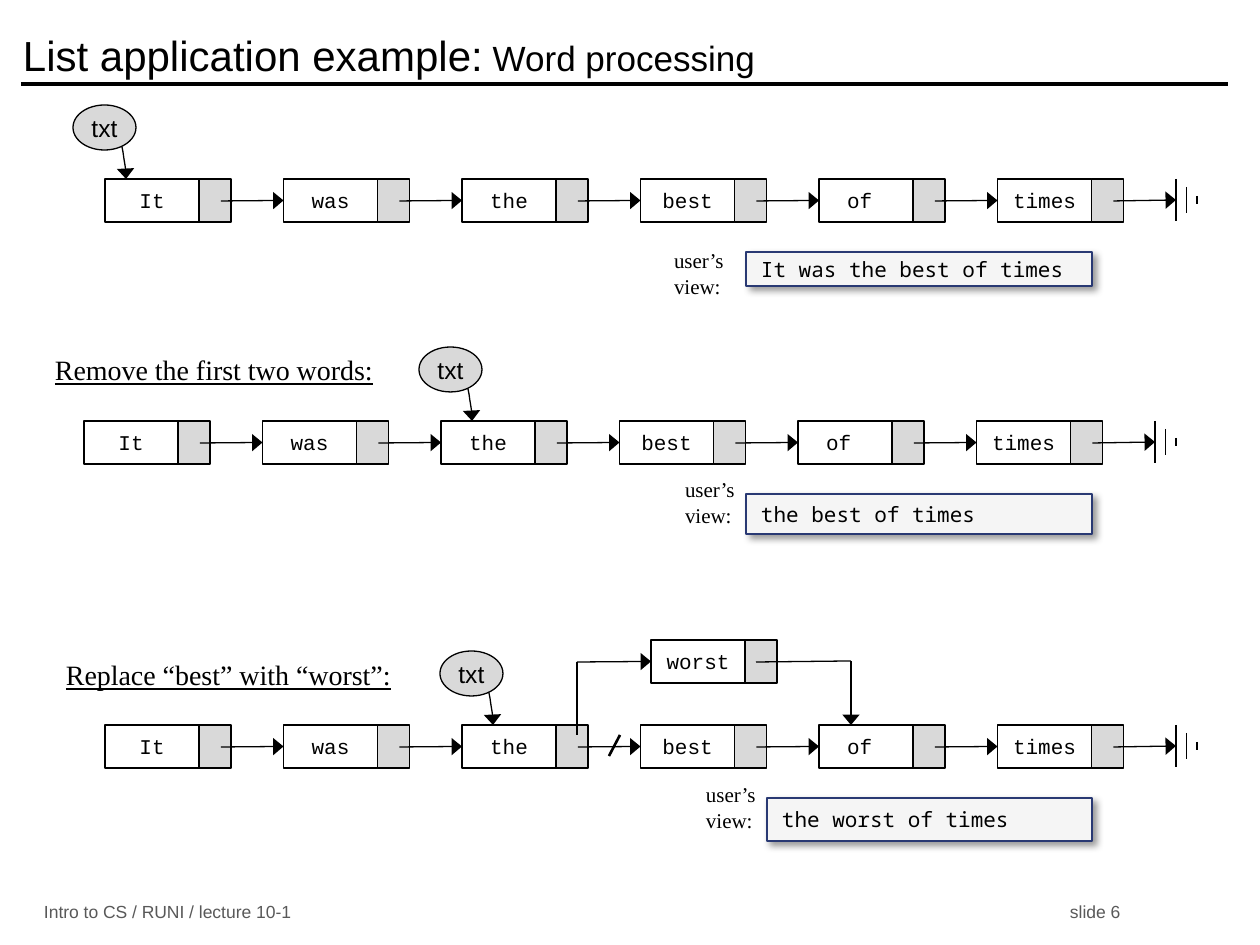
from math import cos, pi, sin

from lxml.etree import SubElement
from pptx import Presentation
from pptx.dml.color import RGBColor
from pptx.enum.shapes import MSO_CONNECTOR, MSO_SHAPE
from pptx.enum.text import MSO_ANCHOR, PP_ALIGN
from pptx.oxml.ns import qn
from pptx.util import Emu, Pt

PX = 914400 / 126
COLORS = {
    "ink": "000000",
    "pointer": "D9D9D9",
    "view_fill": "F5F5F5",
    "view_edge": "293973",
    "footer": "595959",
}

prs = Presentation()
prs.slide_width, prs.slide_height = Emu(round(1260 * PX)), Emu(round(945 * PX))
slide = prs.slides.add_slide(prs.slide_layouts[6])
shapes = slide.shapes


def add_text(text, box, kind=None, font="Arial", size=12, color="ink", fill=None, edge="ink",
             align=PP_ALIGN.LEFT, anchor=MSO_ANCHOR.MIDDLE, insets=(0, 0, 0, 0),
             underline=False, wrap=True):
    """Add a text box, or a preset shape when kind is given, with one paragraph."""
    place = [Emu(round(v * PX)) for v in box]
    if kind is None:
        shape = shapes.add_textbox(*place)
    else:
        shape = shapes.add_shape(kind, *place)
        shape.shadow.inherit = False
        shape.line.color.rgb = RGBColor.from_string(COLORS[edge])
        shape.line.width = Pt(0.75)
        if fill:
            shape.fill.solid()
            shape.fill.fore_color.rgb = RGBColor.from_string(COLORS[fill])
        else:
            shape.fill.background()
    frame = shape.text_frame
    frame.word_wrap, frame.vertical_anchor = wrap, anchor
    frame.margin_left, frame.margin_top, frame.margin_right, frame.margin_bottom = (
        Emu(round(v * PX)) for v in insets)
    paragraph = frame.paragraphs[0]
    paragraph.alignment = align
    if text:
        run = paragraph.add_run()
        run.text = text
        run.font.name, run.font.size, run.font.underline = font, Pt(size), underline
        run.font.color.rgb = RGBColor.from_string(COLORS[color])
    return shape


def add_line(*points, width=0.75, arrow=False):
    """Draw a connector through two points, or an open outline through more."""
    if len(points) == 2:
        ends = [Emu(round(v * PX)) for point in points for v in point]
        line = shapes.add_connector(MSO_CONNECTOR.STRAIGHT, *ends)
    else:
        outline = shapes.build_freeform(*points[0], scale=PX)
        outline.add_line_segments(points[1:], close=False)
        line = outline.convert_to_shape()
        line.fill.background()
    line.line.color.rgb = RGBColor.from_string(COLORS["ink"])
    line.line.width = Pt(width)
    properties = line.element.spPr
    if arrow:
        SubElement(properties.find(qn("a:ln")), qn("a:tailEnd"), type="triangle", w="lg", len="med")
    SubElement(properties, qn("a:effectLst"))
    return line


# Title and footer
add_line((21, 84), (1228, 84), width=2)
title = add_text("List application example:", (10, 18, 1207, 73), size=24, insets=(13, 6, 13, 6))
topic = title.text_frame.paragraphs[0].add_run()
topic.text = " Word processing"
topic.font.name, topic.font.size = "Arial", Pt(20)
topic.font.color.rgb = RGBColor.from_string(COLORS["ink"])

footer = add_text("Intro to CS / RUNI / lecture 10-1\tslide 6", (31, 900, 1187, 24), size=10,
                  color="footer", insets=(13, 6, 13, 6), wrap=False)
tabs = SubElement(footer.text_frame.paragraphs[0]._p.get_or_add_pPr(), qn("a:tabLst"))
SubElement(tabs, qn("a:tab"), pos=str(round(1026 * PX)), algn="l")

# Headings of the two edits
for heading, left, top in [("Remove the first two words:", 42, 347),
                           ("Replace “best” with “worst”:", 53, 652)]:
    add_text(heading, (left, top, 494, 53), font="Times New Roman", size=16, underline=True,
             anchor=MSO_ANCHOR.TOP, insets=(13, 6, 13, 6))

# Linked lists: the txt pointer, the word nodes, the arrows and the end of the list
WORDS = ["It", "was", "the", "best", "of ", "times"]
PITCH = 178.5
DATA_W, POINTER_W, NODE_H = 94, 32, 43
LINK_START = 116

nodes = [(left + i * PITCH, top, word)
         for left, top in [(105, 179), (84, 421), (105, 725)]
         for i, word in enumerate(WORDS)]
nodes.append((651, 640, "worst"))
data_boxes = []
for left, top, word in nodes:
    data_boxes.append(add_text(word, (left, top, DATA_W, NODE_H), MSO_SHAPE.RECTANGLE,
                               font="Courier New", align=PP_ALIGN.CENTER))
    add_text("", (left + DATA_W, top, POINTER_W, NODE_H), MSO_SHAPE.RECTANGLE, fill="pointer")

for i, (left, top, _) in enumerate(nodes[:-1]):
    middle = top + 21
    link = add_line((left + LINK_START, middle + 1), (left + PITCH, middle), arrow=True)
    if i % len(WORDS) < len(WORDS) - 1:
        link.end_connect(data_boxes[i + 1], 1)
    else:
        for bar, half in enumerate([21, 13, 4]):
            x = left + PITCH + bar * 10.5
            add_line((x, middle - half), (x, middle + half))

for center, top in [(105, 179), (451, 421), (472, 725)]:
    arc = [(center + 21 * sin(step * pi / 24), top - 53 * cos(step * pi / 24))
           for step in range(13)]
    add_line(*arc, arrow=True)
    add_text("txt", (center - 32, top - 74, 63, 45), MSO_SHAPE.OVAL, size=14, fill="pointer",
             align=PP_ALIGN.CENTER)

# Detour through "worst", and the cut link to "best"
add_line((577, 735), (577, 662))
add_line((577, 662), (651, 661), arrow=True).end_connect(data_boxes[-1], 1)
add_line((756, 662), (851, 661))
add_line((851, 661), (851, 725), arrow=True)
add_line((620, 735), (609, 756), width=1.5)

# What the user sees after each step
for sentence, view, label in [
    ("It was the best of times", (746, 252, 346, 34), (661, 242, 105, 53)),
    ("the best of times", (746, 494, 346, 40), (672, 477, 105, 63)),
    ("the worst of times", (767, 798, 325, 43), (693, 782, 105, 63)),
]:
    screen = add_text(sentence, view, MSO_SHAPE.RECTANGLE, font="Noto Sans Mono",
                      fill="view_fill", edge="view_edge", insets=(15, 0, 3, 0))
    shadow = SubElement(screen.element.spPr.find(qn("a:effectLst")), qn("a:outerShdw"),
                        blurRad=str(Pt(4)), dist=str(Pt(3)), dir="2700000", algn="tl",
                        rotWithShape="0")
    shade = SubElement(shadow, qn("a:srgbClr"), val=COLORS["ink"])
    SubElement(shade, qn("a:alpha"), val="40000")
    add_text("user’s view:", label, font="Times New Roman", anchor=MSO_ANCHOR.TOP,
             insets=(13, 6 if label[1] == 242 else 0, 13, 6))

prs.save("out.pptx")
